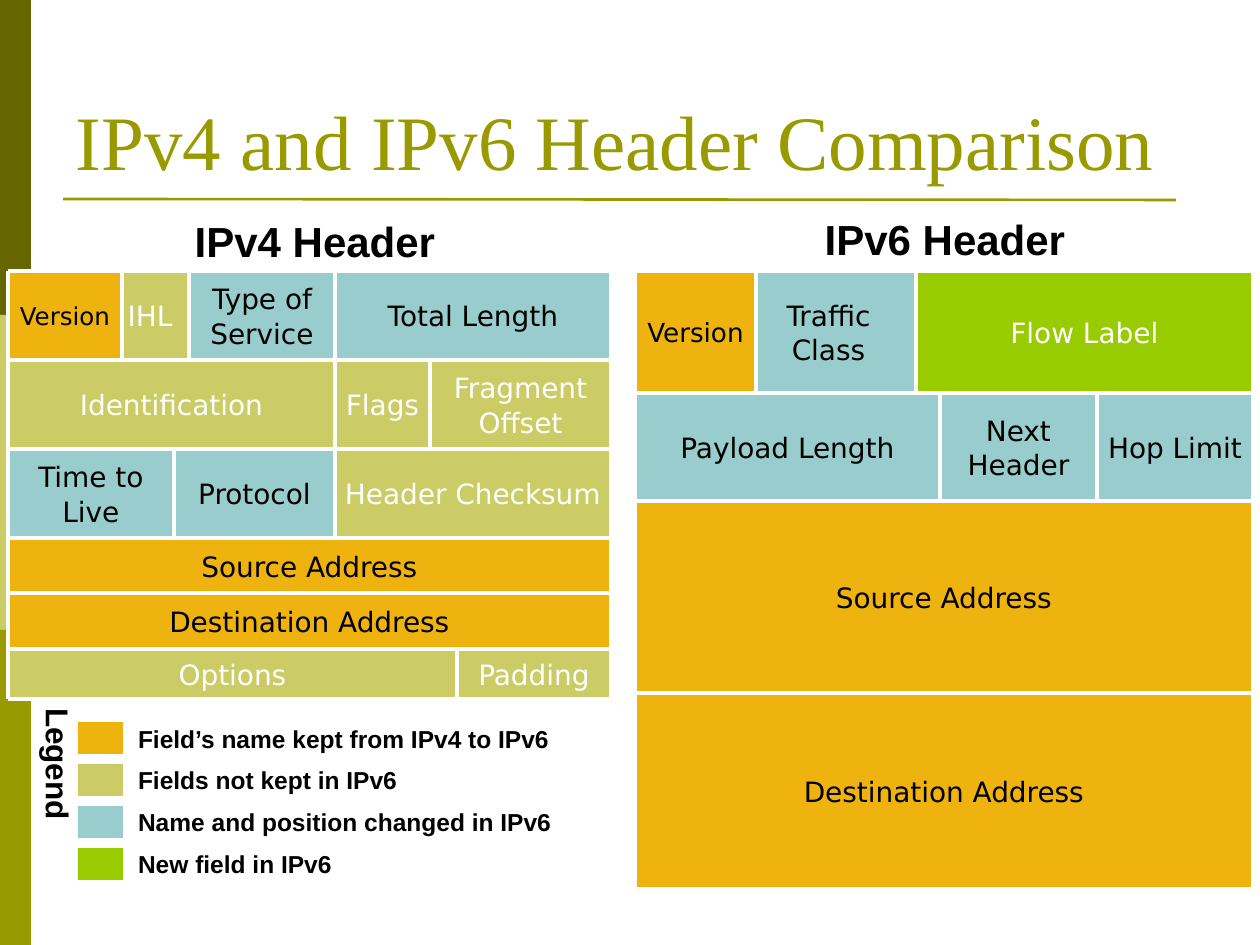
from dataclasses import dataclass

from lxml import etree
from pptx import Presentation
from pptx.dml.color import RGBColor
from pptx.enum.shapes import MSO_CONNECTOR, MSO_SHAPE
from pptx.enum.text import MSO_ANCHOR, PP_ALIGN
from pptx.oxml.ns import qn
from pptx.util import Emu, Pt

RECT = MSO_SHAPE.RECTANGLE
LINE = MSO_CONNECTOR.STRAIGHT
TOP, MID, LOW = MSO_ANCHOR.TOP, MSO_ANCHOR.MIDDLE, MSO_ANCHOR.BOTTOM
LEFT, MIDDLE = PP_ALIGN.LEFT, PP_ALIGN.CENTER


@dataclass(frozen=True)
class Theme:
    kept: str = "EEB30E"
    gone: str = "CCCC66"
    moved: str = "99CCCC"
    new: str = "99CC00"
    dark: str = "666600"
    olive: str = "999900"
    white: str = "FFFFFF"
    black: str = "000000"
    serif: str = "Times New Roman"
    sans: str = "Arial"
    mono: str = "DejaVu Sans"
    title: int = 44
    head: int = 24
    side: int = 18
    cell: int = 16
    key: int = 14
    rule: float = 1.5
    grid: float = 2.25


T = Theme()
INK = {T.kept: T.black, T.moved: T.black, T.gone: T.white, T.new: T.white}

TITLE = "IPv4 and IPv6 Header Comparison"
BARS = [T.dark, T.gone, T.olive]
KEYS = [
    ("Field’s name kept from IPv4 to IPv6", T.kept),
    ("Fields not kept in IPv6", T.gone),
    ("Name and position changed in IPv6", T.moved),
    ("New field in IPv6", T.new),
]

# Each row: bottom edge, then cells of (text, colour, right edge, options).
# "lap" is how far a cell reaches under its left neighbour.
IPV4 = {
    "name": "IPv4 Header", "head": (0, 212), "left": 8, "top": 271,
    "rows": [
        (360, [("Version", T.kept, 122, {"size": 14}),
               ("IHL", T.gone, 189, {"lap": 11}),
               ("Type of Service", T.moved, 335, {}),
               ("Total Length", T.moved, 611, {})]),
        (449, [("Identification", T.gone, 335, {}),
               ("Flags", T.gone, 430, {}),
               ("Fragment Offset", T.gone, 611, {})]),
        (538, [("Time to Live", T.moved, 174, {}),
               ("Protocol", T.moved, 335, {}),
               ("Header Checksum", T.gone, 611, {})]),
        (593, [("Source Address", T.kept, 611, {})]),
        (649, [("Destination Address", T.kept, 611, {})]),
        (699, [("Options", T.gone, 457, {}),
               ("Padding", T.gone, 611, {})]),
    ],
}
IPV6 = {
    "name": "IPv6 Header", "head": (630, 210), "left": 635, "top": 271,
    "rows": [
        (393, [("Version", T.kept, 756, {"size": 15}),
               ("Traffic Class", T.moved, 916, {"lap": 15}),
               ("Flow Label", T.new, 1253, {})]),
        (501, [("Payload Length", T.moved, 940, {}),
               ("Next Header", T.moved, 1097, {}),
               ("Hop Limit", T.moved, 1253, {})]),
        (693, [("Source Address", T.kept, 1253, {})]),
        (889, [("Destination Address", T.kept, 1253, {})]),
    ],
}


def px(n):
    return Emu(round(n * 914400 / 126))


def rgb(code):
    return RGBColor.from_string(code)


def write(shape, lines, size, face, ink, align=LEFT, anchor=TOP,
          pads=(6, 6, 6, 6), bold=False, space=1.0, gap=0):
    """Fill a shape with paragraphs; pads are left, top, right, bottom."""
    frame = shape.text_frame
    frame.word_wrap = True
    frame.vertical_anchor = anchor
    (frame.margin_left, frame.margin_top,
     frame.margin_right, frame.margin_bottom) = map(px, pads)
    frame.text = "\n".join(lines)
    for para in frame.paragraphs:
        para.alignment = align
        para.line_spacing = space
        para.space_before = Pt(gap)
        font = para.font
        font.size, font.name, font.bold = Pt(size), face, bold
        font.color.rgb = rgb(ink)
    return frame


def label(slide, box, lines, size, **style):
    text = slide.shapes.add_textbox(*map(px, box))
    return write(text, lines, size, T.sans, T.black, bold=True, **style)


def block(slide, box, fill):
    shape = slide.shapes.add_shape(RECT, *map(px, box))
    shape.shadow.inherit = False
    shape.fill.solid()
    shape.fill.fore_color.rgb = rgb(fill)
    shape.line.fill.background()
    return shape


def stroke(slide, ends, ink, width):
    line = slide.shapes.add_connector(LINE, *map(px, ends))
    line.line.color.rgb = rgb(ink)
    line.line.width = Pt(width)
    etree.SubElement(line._element.spPr, qn("a:effectLst"))


def header(slide, spec):
    """Draw one packet header: its name, its cells, then the white grid."""
    left, top, rows = spec["left"], spec["top"], spec["rows"]
    right, base = rows[0][1][-1][2], rows[-1][0]
    label(slide, (*spec["head"], 630, 60), [spec["name"]], T.head,
          align=MIDDLE, pads=(10, 8, 10, 5), space=0.93)
    grid = [(left, top, right, top), (left, top, left, base)]
    y = top
    for low, cells in rows:
        starts = [left] + [cell[2] for cell in cells]
        for x, (text, fill, end, opts) in reversed(list(zip(starts, cells))):
            x -= opts.get("lap", 0)
            shape = block(slide, (x, y, end - x, low - y), fill)
            write(shape, [text], opts.get("size", T.cell), T.mono, INK[fill],
                  align=MIDDLE, anchor=MID, space=1.02)
            grid.append((end, y, end, low))
        grid.append((left, low, right, low))
        y = low
    for ends in grid:
        stroke(slide, ends, T.white, T.grid)


def legend(slide):
    label(slide, (108, 718, 473, 166), [text for text, _ in KEYS], T.key,
          pads=(30, 9, 11, 5), space=0.9, gap=8.8).word_wrap = False
    side = label(slide, (25, 697, 58, 172), ["Legend"], T.side,
                 align=MIDDLE, pads=(5, 11, 9, 11), space=0.93)
    side._txBody.bodyPr.set("vert", "eaVert")
    for i, (_, fill) in enumerate(KEYS):
        block(slide, (78, 722 + 42 * i, 45, 32), fill)


def main():
    deck = Presentation()
    deck.slide_width, deck.slide_height = px(1260), px(945)
    slide = deck.slides.add_slide(deck.slide_layouts[5])
    title = slide.shapes.title
    title.left, title.top, title.width, title.height = map(
        px, (63, 0, 1134, 195))
    write(title, [TITLE], T.title, T.serif, T.olive, anchor=LOW,
          pads=(13, 8, 13, 6), space=0.98)
    for i, fill in enumerate(BARS):
        block(slide, (0, 315 * i, 31, 315), fill)
    stroke(slide, (63, 199, 1176, 200), T.olive, T.rule)
    for spec in (IPV6, IPV4):
        header(slide, spec)
    legend(slide)
    deck.save("out.pptx")


if __name__ == "__main__":
    main()
